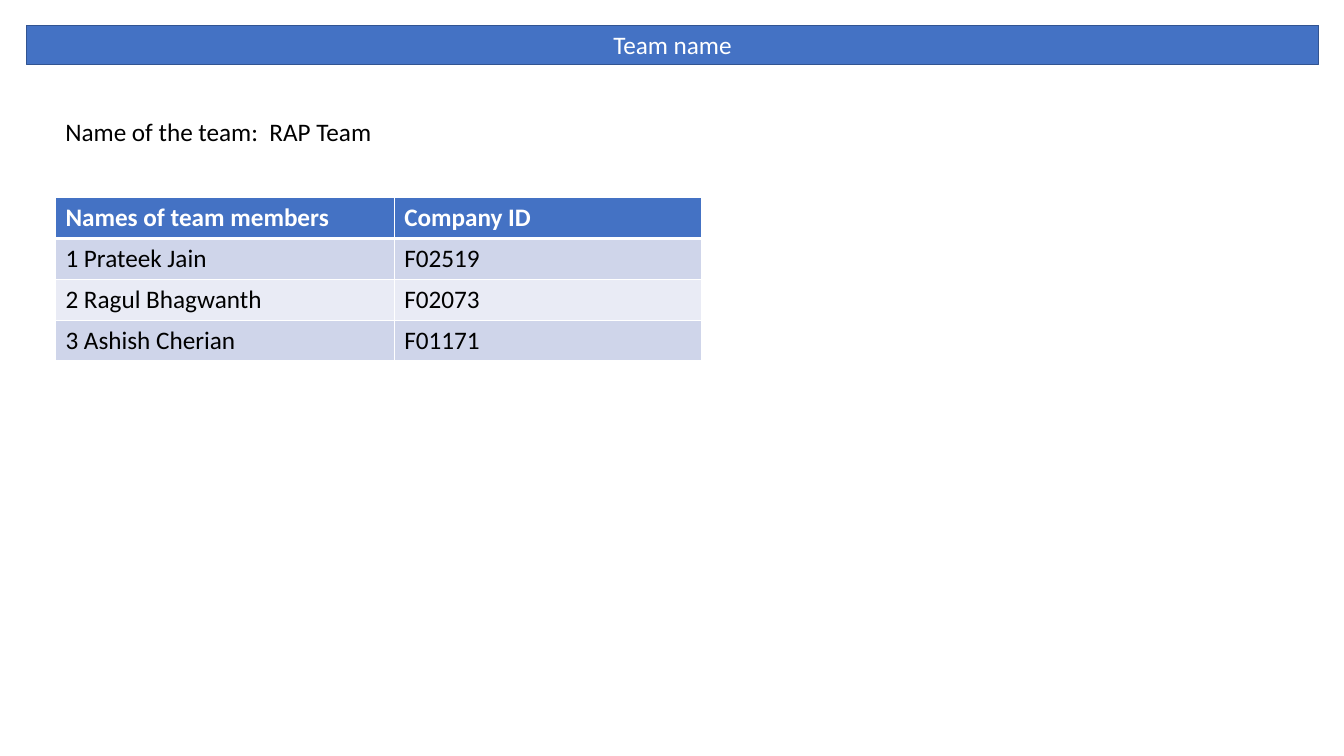
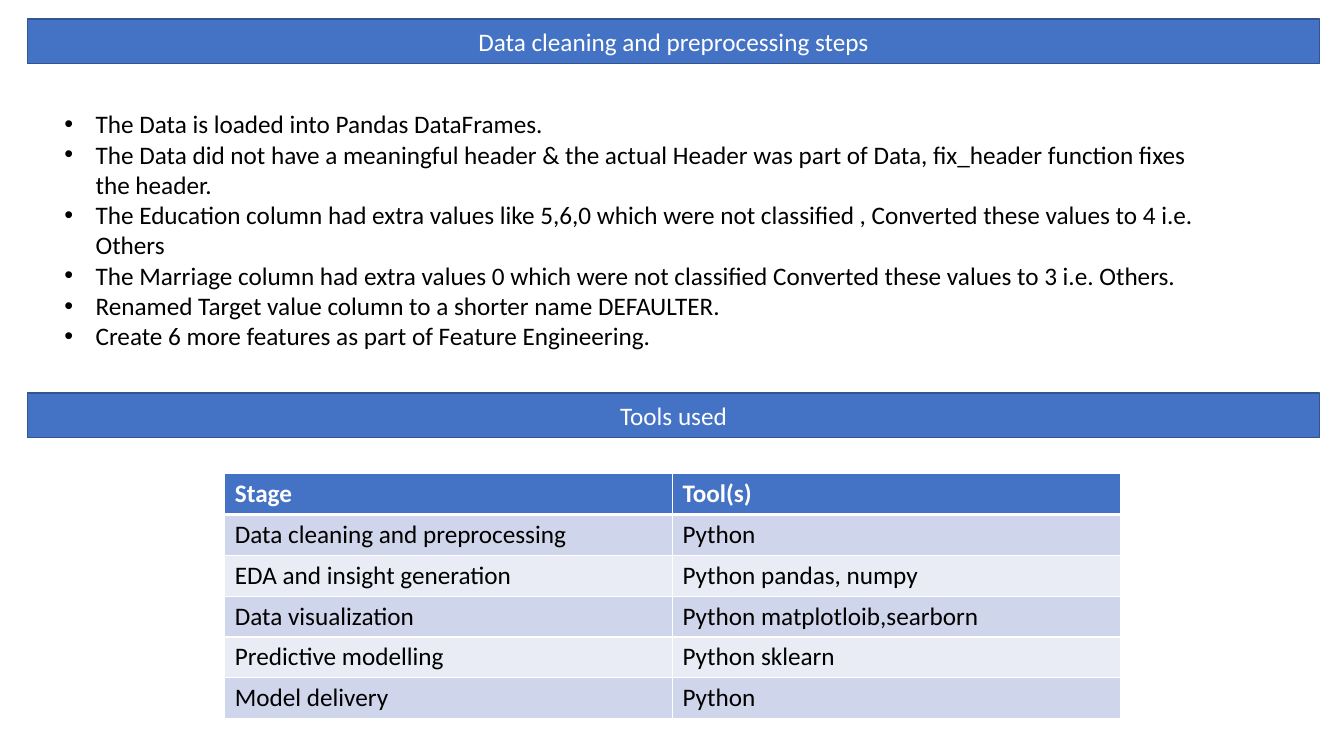
from lxml.etree import SubElement
from pptx import Presentation
from pptx.dml.color import RGBColor
from pptx.enum.shapes import MSO_SHAPE
from pptx.enum.text import MSO_ANCHOR, PP_ALIGN
from pptx.oxml.ns import qn
from pptx.util import Inches, Pt

COLORS = {
    "accent": "4472C4",
    "outline": "325491",
    "odd_row": "CFD5EA",
    "even_row": "E9EBF5",
    "light": "FFFFFF",
    "dark": "000000",
}
FONT = "Calibri"
TEXT_SIZE = 18
BAND_WIDTH = 12.82
ROW_HEIGHT = 0.405
BULLET_INDENT = 0.31

MEMBERS = [
    ("Names of team members", "Company ID"),
    ("1 Prateek Jain", "F02519"),
    ("2 Ragul Bhagwanth", "F02073"),
    ("3 Ashish Cherian", "F01171"),
]
CLEANING_STEPS = [
    "The Data is loaded into Pandas DataFrames.",
    "The Data did not have a meaningful header & the actual Header was part of Data, "
    "fix_header function fixes the header.",
    "The Education column had extra values like 5,6,0 which were not classified , "
    "Converted these values to 4 i.e. Others",
    "The Marriage column had extra values 0 which were not classified "
    "Converted these values to 3 i.e. Others.",
    "Renamed Target value column to a shorter name DEFAULTER.",
    "Create 6 more features as part of Feature Engineering.",
]
TOOLS = [
    ("Stage", "Tool(s)"),
    ("Data cleaning and preprocessing", "Python"),
    ("EDA and insight generation", "Python pandas, numpy"),
    ("Data visualization", "Python matplotloib,searborn"),
    ("Predictive modelling", "Python sklearn"),
    ("Model delivery", "Python"),
]


def color(name):
    return RGBColor.from_string(COLORS[name])


def style_text(frame, color_name, bold=False, align=PP_ALIGN.LEFT):
    for para in frame.paragraphs:
        para.alignment = align
        for span in para.runs:
            span.font.name = FONT
            span.font.size = Pt(TEXT_SIZE)
            span.font.bold = bold
            span.font.color.rgb = color(color_name)


def add_band(page, title, left, top, height):
    band = page.shapes.add_shape(
        MSO_SHAPE.RECTANGLE, Inches(left), Inches(top), Inches(BAND_WIDTH), Inches(height)
    )
    band.shadow.inherit = False
    band.fill.solid()
    band.fill.fore_color.rgb = color("accent")
    band.line.color.rgb = color("outline")
    band.line.width = Pt(1)
    band.text_frame.text = title
    band.text_frame.vertical_anchor = MSO_ANCHOR.MIDDLE
    style_text(band.text_frame, "light", align=PP_ALIGN.CENTER)


def add_text(page, lines, left, top, width, height, wrap=True):
    box = page.shapes.add_textbox(Inches(left), Inches(top), Inches(width), Inches(height))
    box.text_frame.word_wrap = wrap
    box.text_frame.text = "\n".join(lines)
    style_text(box.text_frame, "dark")
    return box


def add_bullets(box):
    for para in box.text_frame.paragraphs:
        properties = para._p.get_or_add_pPr()
        properties.set("marL", str(Inches(BULLET_INDENT)))
        properties.set("indent", str(-Inches(BULLET_INDENT)))
        SubElement(properties, qn("a:buFont"), typeface="Arial")
        SubElement(properties, qn("a:buChar"), char="•")


def set_borders(cell, top=1, bottom=1):
    properties = cell._tc.get_or_add_tcPr()
    for side, width in (("L", 1), ("R", 1), ("T", top), ("B", bottom)):
        line = SubElement(properties, qn(f"a:ln{side}"), w=str(Pt(width)))
        fill = SubElement(line, qn("a:solidFill"))
        SubElement(fill, qn("a:srgbClr"), val=COLORS["light"])


def add_grid(page, rows, left, top, widths):
    table = page.shapes.add_table(
        len(rows), len(widths), Inches(left), Inches(top),
        Inches(sum(widths)), Inches(ROW_HEIGHT * len(rows)),
    ).table
    for column, width in zip(table.columns, widths):
        column.width = Inches(width)
    for row_index, values in enumerate(rows):
        is_header = row_index == 0
        row_fill = "accent" if is_header else "odd_row" if row_index % 2 else "even_row"
        for column_index, value in enumerate(values):
            cell = table.cell(row_index, column_index)
            set_borders(cell, 3 if row_index == 1 else 1, 3 if is_header else 1)
            cell.fill.solid()
            cell.fill.fore_color.rgb = color(row_fill)
            cell.text_frame.text = value
            style_text(cell.text_frame, "light" if is_header else "dark", bold=is_header)


def build_team_slide(page):
    add_band(page, "Team name", 0.26, 0.25, 0.39)
    add_grid(page, MEMBERS, 0.55, 1.96, (3.36, 3.05))
    add_text(page, ["Name of the team:  RAP Team"], 0.55, 1.1, 3.27, 0.4, wrap=False)


def build_process_slide(page):
    for title, top in (("Data cleaning and preprocessing steps", 0.19), ("Tools used", 3.9)):
        add_band(page, title, 0.27, top, 0.44)
    add_grid(page, TOOLS, 2.23, 4.7, (4.44, 4.44))
    add_bullets(add_text(page, CLEANING_STEPS, 0.54, 1.03, 11.42, 3.13))


def main():
    deck = Presentation()
    deck.slide_width = Inches(13.33)
    deck.slide_height = Inches(7.5)
    for build in (build_team_slide, build_process_slide):
        build(deck.slides.add_slide(deck.slide_layouts[6]))
    deck.save("out.pptx")


if __name__ == "__main__":
    main()
